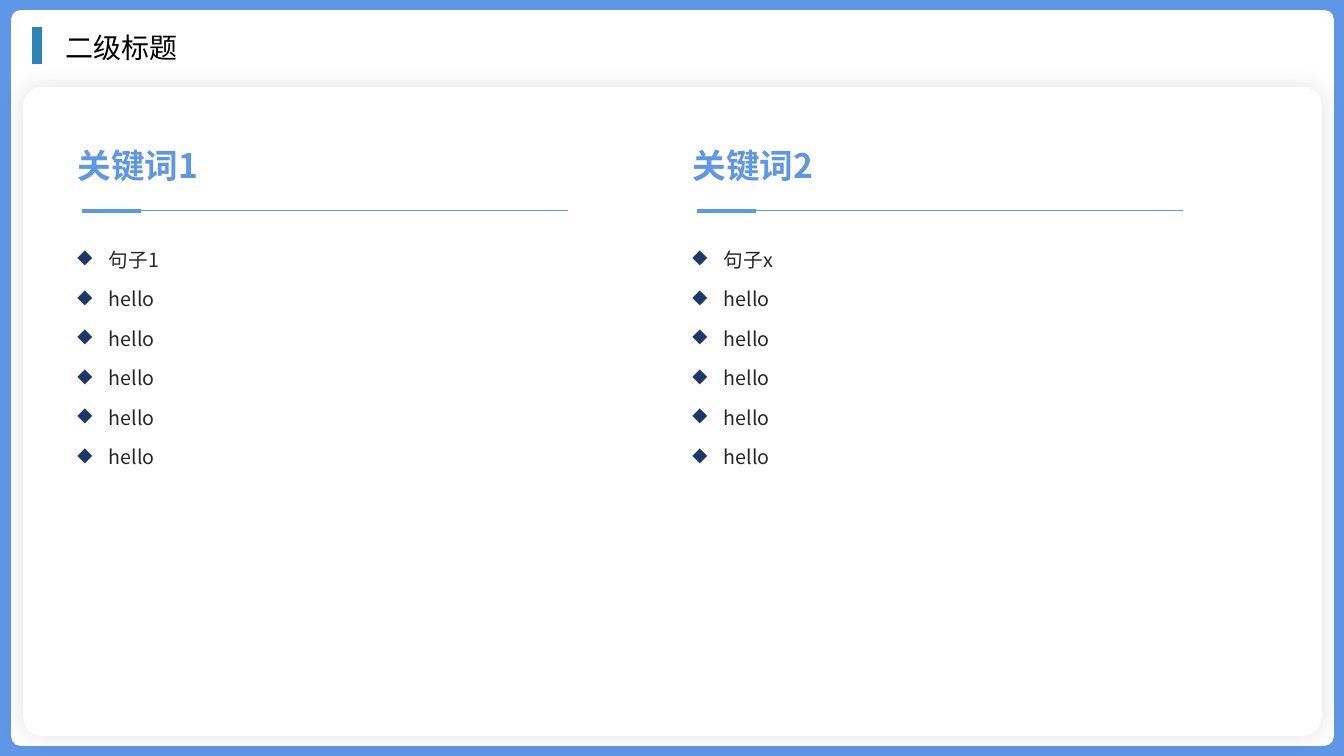
from dataclasses import dataclass

from lxml.etree import SubElement
from pptx import Presentation
from pptx.dml.color import RGBColor
from pptx.enum.shapes import MSO_CONNECTOR, MSO_SHAPE
from pptx.enum.text import MSO_AUTO_SIZE
from pptx.oxml.ns import qn
from pptx.util import Inches, Pt


@dataclass(frozen=True)
class Theme:
    blue: str = "6096E6"
    teal: str = "2D83B6"
    navy: str = "1B3868"
    ink: str = "262626"
    black: str = "000000"
    white: str = "FFFFFF"
    body_font: str = "Noto Sans CJK SC"
    title_font: str = "Roboto"
    title_size: int = 20
    heading_size: int = 24
    body_size: int = 14


theme = Theme()


def add_text(lines, left, top, width, height, size, color, font=theme.body_font,
             bold=False, bullet=None):
    box = page.shapes.add_textbox(Inches(left), Inches(top), Inches(width), Inches(height))
    frame = box.text_frame
    frame.word_wrap = True
    frame.auto_size = MSO_AUTO_SIZE.SHAPE_TO_FIT_TEXT
    for index, line in enumerate(lines):
        para = frame.paragraphs[0] if index == 0 else frame.add_paragraph()
        if bullet:
            para.line_spacing = 1.5
            para.space_after = Pt(3)
            properties = para._p.get_or_add_pPr()
            properties.set("marL", str(Inches(0.31)))
            properties.set("indent", str(-Inches(0.31)))
            bullet_color = SubElement(properties, qn("a:buClr"))
            SubElement(bullet_color, qn("a:srgbClr"), val=theme.navy)
            SubElement(properties, qn("a:buChar"), char=bullet)
        span = para.add_run()
        span.text = line
        span.font.size = Pt(size)
        span.font.bold = bold
        span.font.name = font
        span.font.color.rgb = RGBColor.from_string(color)
        SubElement(span._r.get_or_add_rPr(), qn("a:ea"), typeface=font)


def add_line(start, end, color, weight):
    line = page.shapes.add_connector(
        MSO_CONNECTOR.STRAIGHT, *[Inches(value) for value in (*start, *end)])
    line.line.color.rgb = RGBColor.from_string(color)
    line.line.width = Pt(weight)
    SubElement(line._element.spPr, qn("a:effectLst"))


deck = Presentation()
deck.slide_width = Inches(13.33)
deck.slide_height = Inches(7.5)
page = deck.slides.add_slide(deck.slide_layouts[6])

panels = [
    (MSO_SHAPE.RECTANGLE, (0, 0, 13.33, 7.5), theme.blue, None),
    (MSO_SHAPE.ROUNDED_RECTANGLE, (0.11, 0.1, 13.12, 7.3), theme.white, 0.013),
    (MSO_SHAPE.ROUNDED_RECTANGLE, (0.23, 0.86, 12.88, 6.44), theme.white, 0.029),
]
for kind, bounds, color, rounding in panels:
    panel = page.shapes.add_shape(kind, *[Inches(value) for value in bounds])
    panel.shadow.inherit = False
    panel.fill.solid()
    panel.fill.fore_color.rgb = RGBColor.from_string(color)
    panel.line.fill.background()
    if rounding:
        panel.adjustments[0] = rounding

effects = panel._element.spPr.find(qn("a:effectLst"))
shadow = SubElement(effects, qn("a:outerShdw"), blurRad=str(Pt(18)), dist="0", dir="0",
                    algn="ctr", rotWithShape="0")
shadow_color = SubElement(shadow, qn("a:srgbClr"), val=theme.black)
SubElement(shadow_color, qn("a:alpha"), val="11000")

columns = [(0.67, "关键词1", "句子1"), (6.77, "关键词2", "句子x")]
for left, heading, sentence in columns:
    rule = left + 0.14
    add_text([heading], left, 1.39, 3.55, 0.5, theme.heading_size, theme.blue, bold=True)
    add_line((rule, 2.09), (rule + 4.82, 2.09), theme.blue, 1)
    add_text([sentence] + ["hello"] * 5, left, 2.29, 5.43, 2.43,
             theme.body_size, theme.ink, bullet="◆")
    add_line((rule, 2.09), (rule + 0.59, 2.09), theme.blue, 3)

add_line((0.37, 0.27), (0.37, 0.64), theme.teal, 7.25)
add_text(["二级标题"], 0.55, 0.25, 12.42, 0.44, theme.title_size, theme.black,
         font=theme.title_font)

deck.save("out.pptx")
